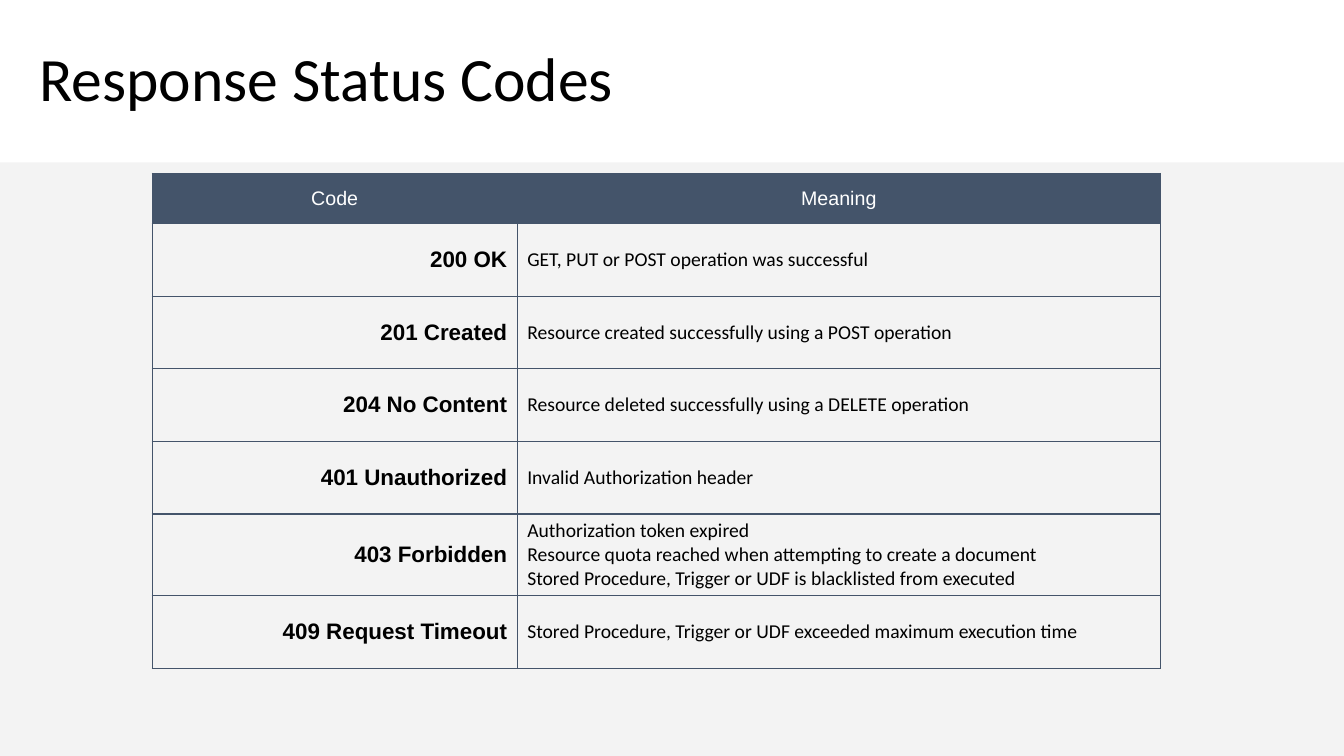
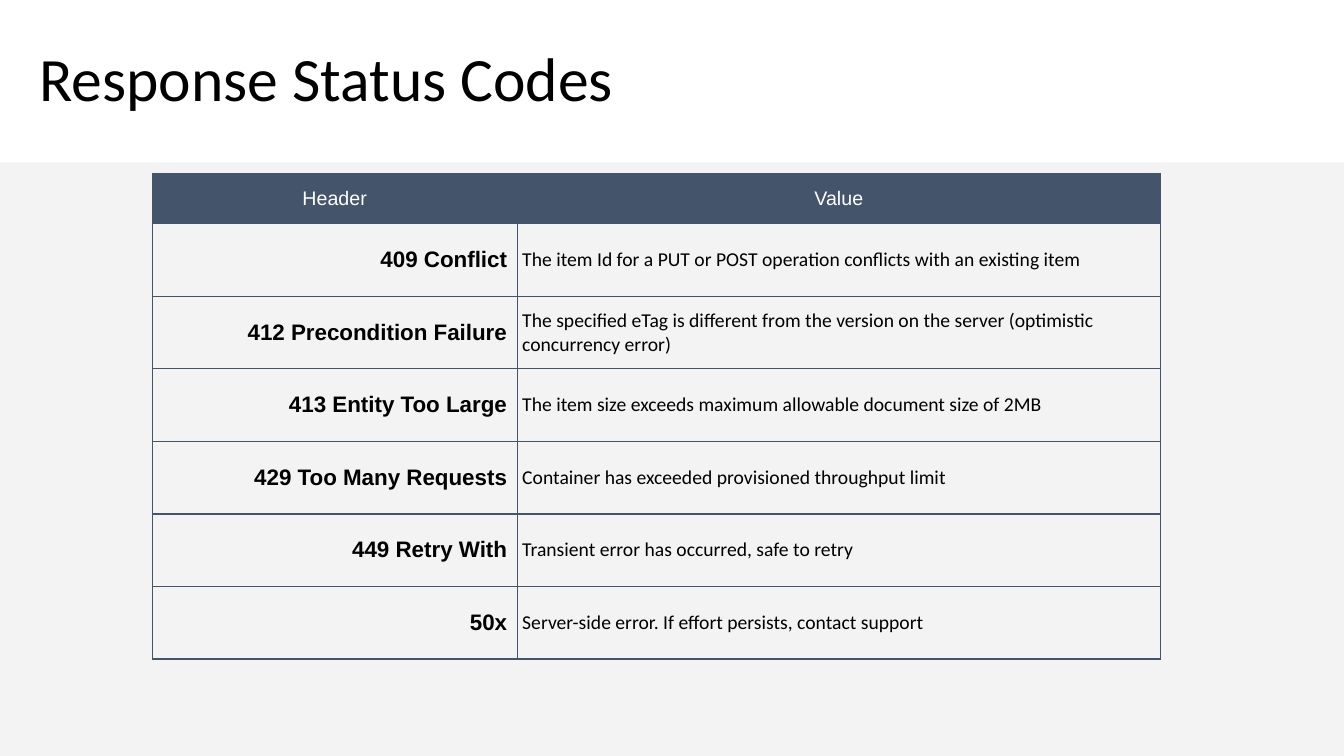
from lxml.etree import SubElement
from pptx import Presentation
from pptx.dml.color import RGBColor
from pptx.enum.shapes import MSO_SHAPE
from pptx.enum.text import MSO_ANCHOR as Anchor, PP_ALIGN as Align
from pptx.oxml import parse_xml
from pptx.oxml.ns import nsdecls, qn
from pptx.util import Inches, Pt

# Content: title, table heads, inset of the right column, rows
SLIDES = [
    ("Response Status Codes", ("Code", "Meaning"), 0.1, [
        ("200 OK", "GET, PUT or POST operation was successful"),
        ("201 Created", "Resource created successfully using a POST operation"),
        ("204 No Content", "Resource deleted successfully using a DELETE operation"),
        ("401 Unauthorized", "Invalid Authorization header"),
        ("403 Forbidden", "Authorization token expired\n"
         "Resource quota reached when attempting to create a document\v"
         "Stored Procedure, Trigger or UDF is blacklisted from executed"),
        ("409 Request Timeout",
         "Stored Procedure, Trigger or UDF exceeded maximum execution time"),
    ]),
    ("Response Status Codes", ("Header", "Value"), 0.05, [
        ("409 Conflict",
         "The item Id for a PUT or POST operation conflicts with an existing item"),
        ("412 Precondition Failure",
         "The specified eTag is different from the version on the server "
         "(optimistic concurrency error)"),
        ("413 Entity Too Large",
         "The item size exceeds maximum allowable document size of 2MB"),
        ("429 Too Many Requests", "Container has exceeded provisioned throughput limit"),
        ("449 Retry With", "Transient error has occurred, safe to retry"),
        ("50x", "Server-side error. If effort persists, contact support"),
    ]),
]

# Shared look
SLATE = RGBColor(0x44, 0x54, 0x6A)
GRAY = RGBColor(0xF2, 0xF2, 0xF2)
BLACK = RGBColor(0, 0, 0)
WHITE = RGBColor(255, 255, 255)
WIDE, HIGH, BAND_TOP = 13.33, 7.5, 1.61
LEFT, TOP = 1.51, 1.72
COLS = (3.62, 6.38)
HEAD, ROW = 0.5, 0.72
# Cell styles: font, size, bold, colour, alignment
HEAD_STYLE = ("Arial", 14, False, WHITE, Align.CENTER)
CODE_STYLE = ("Arial", 16, True, BLACK, Align.RIGHT)
TEXT_STYLE = ("Calibri", 14, False, BLACK, Align.LEFT)


def style(frame, name, size, bold, color, align):
    for para in frame.paragraphs:
        font = para.font
        font.name, font.size, font.bold = name, Pt(size), bold
        font.color.rgb = color
        para.alignment = align


def border(cell):
    props = cell._tc.get_or_add_tcPr()
    for i, side in enumerate("LRTB"):
        props.insert(i, parse_xml(
            f'<a:ln{side} w="{Pt(1)}" {nsdecls("a")}><a:solidFill>'
            f'<a:srgbClr val="{SLATE}"/></a:solidFill></a:ln{side}>'))


def fill_cell(cell, text, look, inset):
    cell.text = text
    style(cell.text_frame, *look)
    cell.vertical_anchor = Anchor.MIDDLE
    cell.margin_left = cell.margin_right = Inches(inset)
    cell.margin_top = cell.margin_bottom = Inches(0.05)
    if look is HEAD_STYLE:
        cell.fill.solid()
        cell.fill.fore_color.rgb = SLATE
    else:
        cell.fill.background()
    border(cell)


def add_table(slide, heads, inset, rows):
    count = len(rows)
    table = slide.shapes.add_table(
        count + 1, len(COLS), Inches(LEFT), Inches(TOP),
        Inches(sum(COLS)), Inches(HEAD + count * ROW)).table
    table.horz_banding = False
    for col, width in zip(table.columns, COLS):
        col.width = Inches(width)
    for r, line in enumerate([heads] + rows):
        table.rows[r].height = Inches(ROW if r else HEAD)
        looks = (CODE_STYLE, TEXT_STYLE) if r else (HEAD_STYLE, HEAD_STYLE)
        pads = (0.1, inset) if r else (0.05, 0.05)
        for c, text in enumerate(line):
            fill_cell(table.cell(r, c), text, looks[c], pads[c])


def add_band(slide, layout):
    """Draw the pale band, then move it to the layout that all slides share."""
    band = slide.shapes.add_shape(MSO_SHAPE.RECTANGLE, 0, Inches(BAND_TOP),
                                  Inches(WIDE), Inches(HIGH - BAND_TOP))
    band.shadow.inherit = False
    band.fill.solid()
    band.fill.fore_color.rgb = GRAY
    band.line.fill.background()
    color = band.element.find(".//" + qn("a:srgbClr"))
    SubElement(color, qn("a:alpha"), val="89000")
    layout.shapes.element.insert(2, band.element)


deck = Presentation()
deck.slide_width, deck.slide_height = Inches(WIDE), Inches(HIGH)
layout = deck.slide_layouts[5]

# Title place, set once on the layout
spot = layout.placeholders[0]
spot.left, spot.top = Inches(0.29), Inches(0.32)
spot.width, spot.height = Inches(12.75), Inches(0.98)
spot.text_frame.vertical_anchor = Anchor.MIDDLE

for n, (name, heads, inset, rows) in enumerate(SLIDES):
    slide = deck.slides.add_slide(layout)
    if n == 0:
        add_band(slide, layout)
    title = slide.shapes.title.text_frame
    title.text = name
    style(title, "Calibri", 44, False, BLACK, Align.LEFT)
    title.paragraphs[0].line_spacing = 0.9
    add_table(slide, heads, inset, rows)

deck.save("out.pptx")
